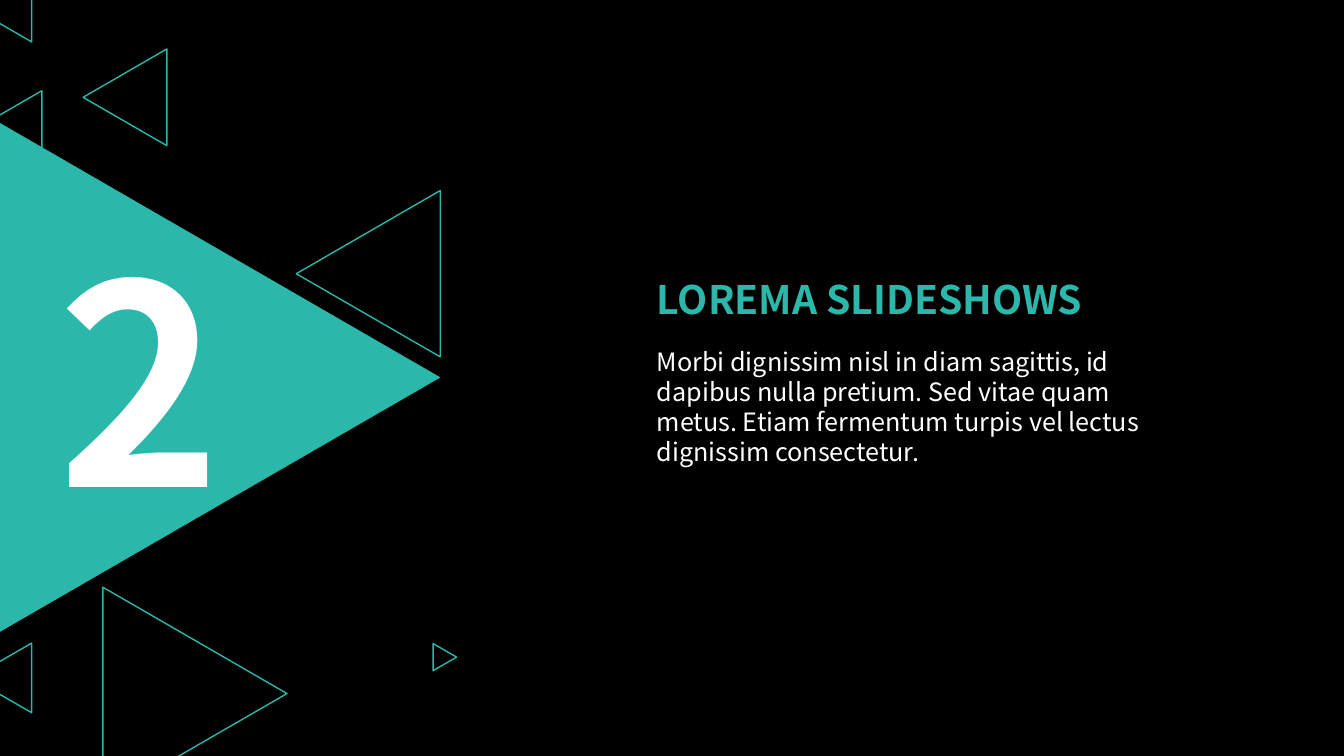
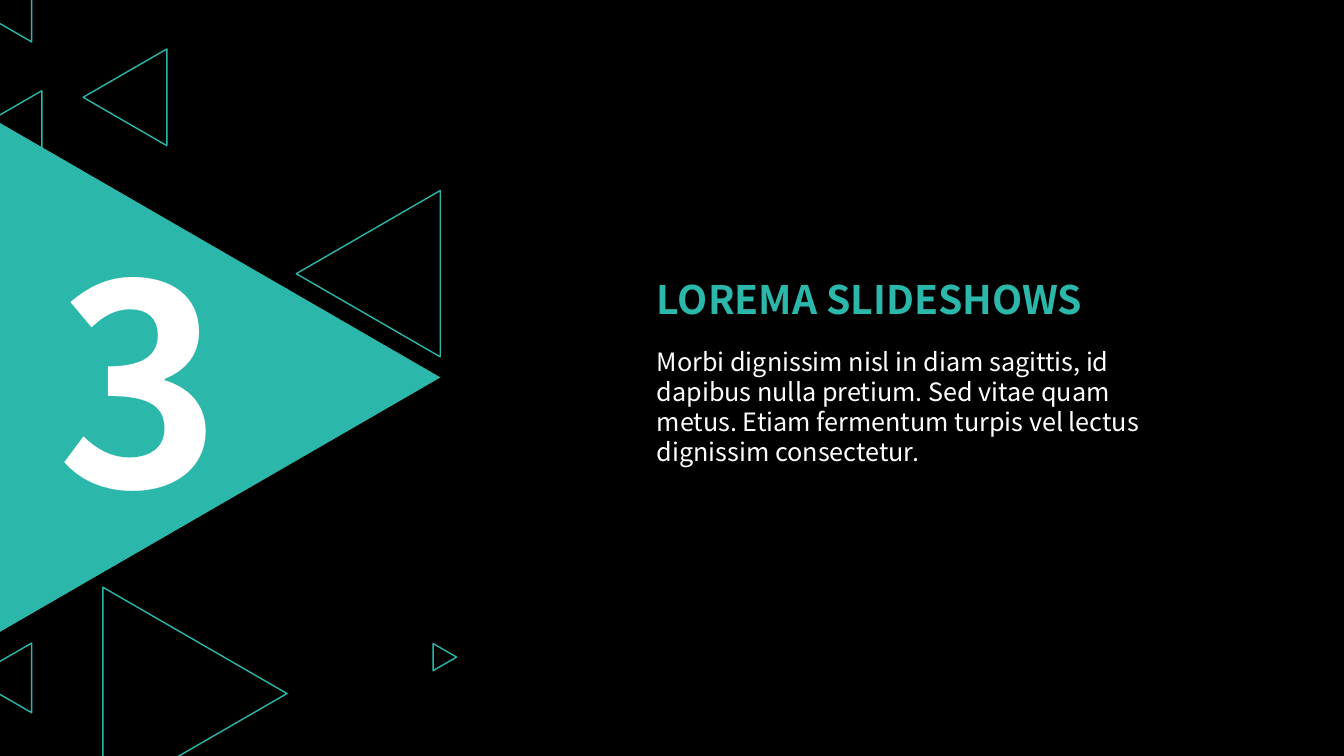
"""Build two numbered section slides with a triangle motif."""
from dataclasses import dataclass
from math import sqrt

from pptx import Presentation
from pptx.dml.color import RGBColor
from pptx.enum.shapes import MSO_SHAPE
from pptx.enum.text import MSO_ANCHOR, MSO_AUTO_SIZE, PP_ALIGN
from pptx.presentation import Presentation as Deck
from pptx.shapes.autoshape import Shape
from pptx.shapes.group import GroupShape
from pptx.util import Pt

TEAL = RGBColor(0x2B, 0xB8, 0xAA)
WHITE = RGBColor(0xFF, 0xFF, 0xFF)
BLACK = RGBColor(0x00, 0x00, 0x00)
FONT = "Noto Sans CJK SC"
SECTION_LAYOUT = 2
POINT_RIGHT, POINT_LEFT = 90, 270


@dataclass(frozen=True)
class Triangle:
    """Equilateral triangle given by the centre of its frame, in points."""

    center_x: float
    center_y: float
    side: float
    direction: int
    filled: bool = False


@dataclass(frozen=True)
class TextStyle:
    """Frame in points and character format of one text."""

    left: float
    top: float
    width: float
    height: float
    size: int
    color: RGBColor
    bold: bool
    align: PP_ALIGN = PP_ALIGN.LEFT


@dataclass(frozen=True)
class Section:
    """Content of one section slide."""

    number: str
    heading: str
    summary: str


MOTIF = (
    Triangle(157, 269.6, 364.3, POINT_RIGHT, filled=True),
    Triangle(139.3, 495.4, 151.9, POINT_RIGHT),
    Triangle(263.2, 195.5, 118.8, POINT_LEFT),
    Triangle(-9.7, 110.5, 91.4, POINT_LEFT),
    Triangle(89.3, 69.5, 69.1, POINT_LEFT),
    Triangle(1.1, 484.2, 49.7, POINT_LEFT),
    Triangle(317.9, 469.4, 19.4, POINT_RIGHT),
    Triangle(-12.6, -10.8, 81.4, POINT_LEFT),
)

NUMBER = TextStyle(1.4, 145.4, 196.6, 248.4, 199, WHITE, True, PP_ALIGN.CENTER)
HEADING = TextStyle(462.2, 193, 409.7, 41, 28, TEAL, True)
SUMMARY = TextStyle(462.2, 243.4, 393.1, 94.3, 18, WHITE, False)

SECTION_HEADING = "LOREMA SLIDESHOWS"
SECTION_SUMMARY = (
    "Morbi dignissim nisl in diam sagittis, id dapibus nulla pretium. "
    "Sed vitae quam metus. Etiam fermentum turpis vel lectus "
    "dignissim consectetur."
)
SECTIONS = [
    Section(number, SECTION_HEADING, SECTION_SUMMARY) for number in ("2", "3")
]


def draw_triangle(motif: GroupShape, triangle: Triangle) -> None:
    """Add one filled or outlined triangle to the motif."""
    height = triangle.side * sqrt(3) / 2
    outline = motif.shapes.add_shape(
        MSO_SHAPE.ISOSCELES_TRIANGLE,
        Pt(triangle.center_x - triangle.side / 2),
        Pt(triangle.center_y - height / 2),
        Pt(triangle.side),
        Pt(height),
    )
    outline.rotation = triangle.direction
    outline.shadow.inherit = False
    if triangle.filled:
        outline.fill.solid()
        outline.fill.fore_color.rgb = TEAL
        outline.line.fill.background()
    else:
        outline.fill.background()
        outline.line.color.rgb = TEAL
        outline.line.width = Pt(1)


def write_text(holder: Shape, text: str, style: TextStyle) -> None:
    """Place a text holder and write its single run."""
    holder.left, holder.top = Pt(style.left), Pt(style.top)
    holder.width, holder.height = Pt(style.width), Pt(style.height)
    frame = holder.text_frame
    frame.word_wrap = True
    frame.auto_size = MSO_AUTO_SIZE.SHAPE_TO_FIT_TEXT
    frame.vertical_anchor = MSO_ANCHOR.TOP
    paragraph = frame.paragraphs[0]
    paragraph.alignment = style.align
    paragraph.space_before = Pt(0)
    run = paragraph.add_run()
    run.text = text
    run.font.name = FONT
    run.font.size = Pt(style.size)
    run.font.bold = style.bold
    run.font.color.rgb = style.color


def add_section(deck: Deck, section: Section) -> None:
    """Add one section slide."""
    slide = deck.slides.add_slide(deck.slide_layouts[SECTION_LAYOUT])
    motif = slide.shapes.add_group_shape()
    for triangle in MOTIF:
        draw_triangle(motif, triangle)
    number = slide.shapes.add_textbox(
        Pt(NUMBER.left), Pt(NUMBER.top), Pt(NUMBER.width), Pt(NUMBER.height)
    )
    write_text(number, section.number, NUMBER)
    write_text(slide.shapes.title, section.heading, HEADING)
    write_text(slide.placeholders[1], section.summary, SUMMARY)


def main() -> None:
    """Build and save the deck."""
    deck = Presentation()
    deck.slide_width, deck.slide_height = Pt(960.5), Pt(540)
    backdrop = deck.slide_master.background.fill
    backdrop.solid()
    backdrop.fore_color.rgb = BLACK
    for section in SECTIONS:
        add_section(deck, section)
    deck.save("out.pptx")


if __name__ == "__main__":
    main()
